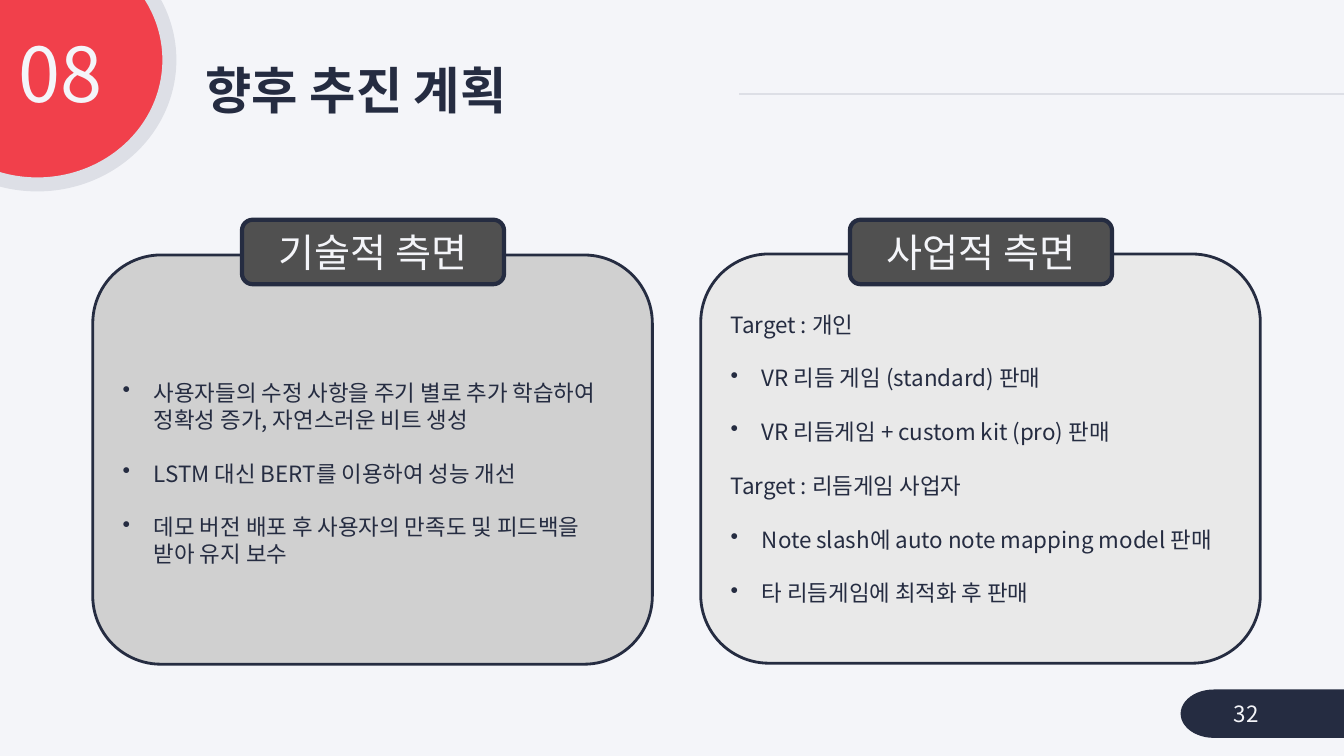
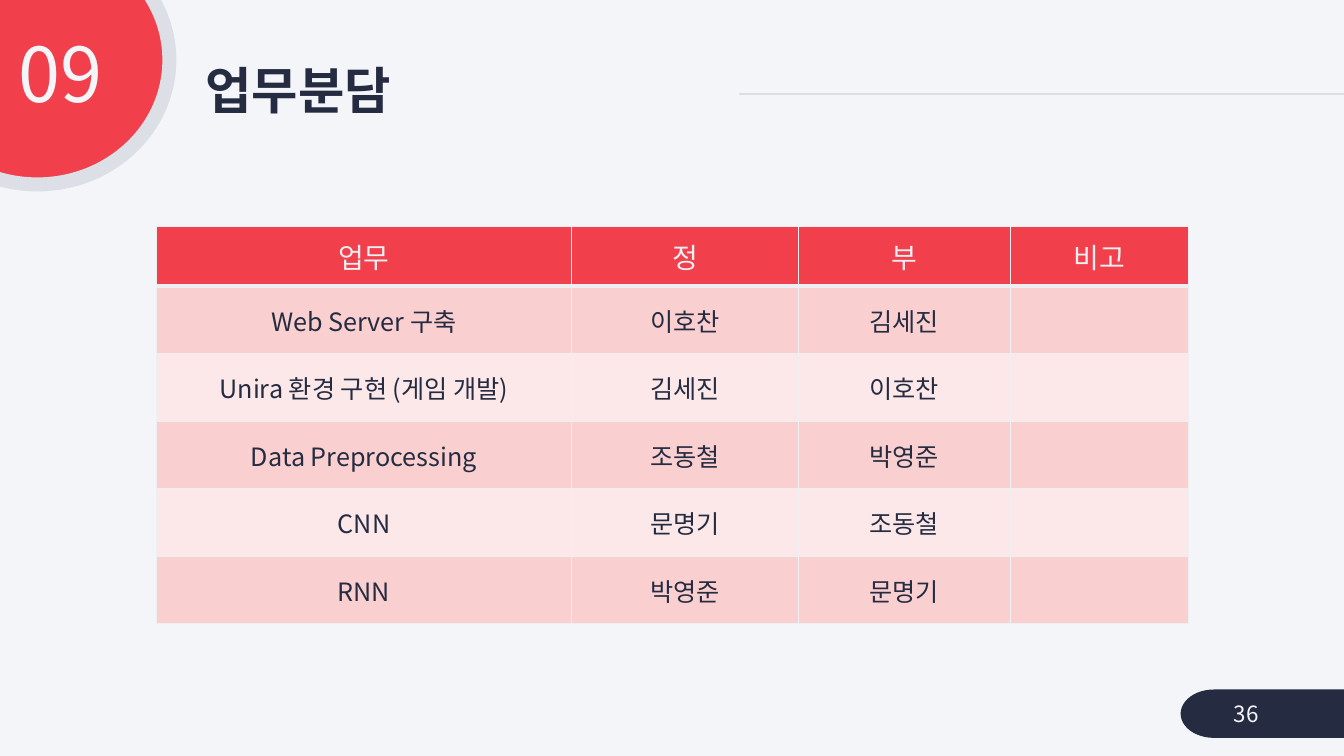
from dataclasses import dataclass
from typing import Any

from pptx import Presentation
from pptx import util as u
from pptx.dml.color import RGBColor
from pptx.enum import shapes, text
from pptx.oxml import ns, xmlchemy

FONT = "Noto Sans CJK KR"
PALE = RGBColor(0xF4, 0xF5, 0xF9)
NAVY = RGBColor(0x25, 0x2C, 0x41)
RED = RGBColor(0xF1, 0x40, 0x4B)
MIST = RGBColor(0xDD, 0xDF, 0xE6)
GRID = RGBColor(0xEE, 0xEF, 0xF3)
COAL = RGBColor(0x50, 0x50, 0x50)
GRAY = RGBColor(0xD0, 0xD0, 0xD0)
LIGHT = RGBColor(0xE9, 0xE9, 0xE9)
ROSE = RGBColor(0xFA, 0xCF, 0xD0)
BLUSH = RGBColor(0xFC, 0xE8, 0xE9)

ALIGN = text.PP_ALIGN
MIDDLE = text.MSO_ANCHOR.MIDDLE
KIND = shapes.MSO_SHAPE
LINE = u.Pt(19.2)
HANG = u.Inches(0.31)


@dataclass
class Box:
    left: float
    top: float
    width: float
    height: float

    def area(self) -> tuple:
        return tuple(u.Inches(n) for n in (self.left, self.top, self.width, self.height))


@dataclass
class Item:
    words: str
    dot: bool = True


@dataclass
class Card:
    left: float
    top: float
    fill: RGBColor
    head: str
    items: list[Item]
    drop: float = 0.05


CARDS = [
    Card(0.92, 2.53, GRAY, "기술적 측면", [
        Item("사용자들의 수정 사항을 주기 별로 추가 학습하여 정확성 증가, 자연스러운 비트 생성"),
        Item("LSTM 대신 BERT를 이용하여 성능 개선"),
        Item("데모 버전 배포 후 사용자의 만족도 및 피드백을 받아 유지 보수"),
    ], 0.32),
    Card(6.95, 2.52, LIGHT, "사업적 측면", [
        Item("Target : 개인", False),
        Item("VR 리듬 게임 (standard) 판매"),
        Item("VR 리듬게임 + custom kit (pro) 판매"),
        Item("Target : 리듬게임 사업자", False),
        Item("Note slash에 auto note mapping model 판매"),
        Item("타 리듬게임에 최적화 후 판매"),
    ]),
]

TASKS = [
    ("업무", "정", "부", "비고"),
    ("Web Server 구축", "이호찬", "김세진", ""),
    ("Unira 환경 구현 (게임 개발)", "김세진", "이호찬", ""),
    ("Data Preprocessing", "조동철", "박영준", ""),
    ("CNN", "문명기", "조동철", ""),
    ("RNN", "박영준", "문명기", ""),
]
COLS = (4.12, 2.25, 2.1, 1.77)
ROWS = (0.59,) + (0.67,) * 5


def apply(item: Any, form: dict[str, Any]) -> None:
    for key, val in form.items():
        setattr(item, key, val)


def write(para: Any, words: str, size: float, color: RGBColor, bold: bool = False, **form: Any) -> None:
    apply(para, form)
    run = para.add_run()
    run.text = words
    apply(run.font, {"name": FONT, "size": u.Pt(size), "bold": bold})
    run.font.color.rgb = color
    east = xmlchemy.OxmlElement("a:ea")
    east.set("typeface", FONT)
    run.font._element.find(ns.qn("a:latin")).addnext(east)


def label(slide: Any, box: Box, words: str, size: float, color: RGBColor,
          anchor: Any = MIDDLE, bold: bool = False, **form: Any) -> None:
    frame = slide.shapes.add_textbox(*box.area()).text_frame
    apply(frame, {"word_wrap": True, "vertical_anchor": anchor})
    write(frame.paragraphs[0], words, size, color, bold, **form)


def shape(slide: Any, kind: Any, box: Box, fill: RGBColor,
          edge: RGBColor | None = None, width: float = 0) -> Any:
    item = slide.shapes.add_shape(kind, *box.area())
    item.shadow.inherit = False
    item.fill.solid()
    item.fill.fore_color.rgb = fill
    if edge is None:
        item.line.fill.background()
    else:
        item.line.color.rgb = edge
        item.line.width = u.Pt(width)
    apply(item.text_frame, {"word_wrap": True, "vertical_anchor": MIDDLE})
    return item


def base(deck: Any, part: str, title: str, page: str) -> Any:
    slide = deck.slides.add_slide(deck.slide_layouts[6])
    slide.background.fill.solid()
    slide.background.fill.fore_color.rgb = PALE
    rule = slide.shapes.add_connector(
        shapes.MSO_CONNECTOR.STRAIGHT,
        u.Inches(7.33), u.Inches(0.93), u.Inches(13.33), u.Inches(0.93))
    rule.line.color.rgb = MIST
    rule.line.width = u.Pt(1.5)
    rule._element.spPr.append(xmlchemy.OxmlElement("a:effectLst"))
    shape(slide, KIND.OVAL, Box(-0.94, -0.64, 2.62, 2.47), RED, MIST, 10)
    shape(slide, KIND.FLOWCHART_TERMINATOR, Box(11.71, 6.84, 2.05, 0.48), NAVY)
    label(slide, Box(1.94, 0.59, 5.39, 0.67), title, 36, NAVY, bold=True, line_spacing=0.9)
    label(slide, Box(-0.11, 0.32, 1.22, 0.92), part, 54, PALE,
          text.MSO_ANCHOR.TOP, alignment=ALIGN.RIGHT, line_spacing=0.9)
    label(slide, Box(12.14, 6.88, 1.09, 0.4), page, 16, PALE)
    return slide


def indent(para: Any, dot: bool) -> None:
    prop = para._p.get_or_add_pPr()
    prop.set("marL", str(HANG))
    prop.set("indent", str(-HANG))
    if dot:
        mark = xmlchemy.OxmlElement("a:buChar")
        mark.set("char", "•")
        prop.append(mark)


def panel(slide: Any, card: Card) -> None:
    body = shape(slide, KIND.ROUNDED_RECTANGLE, Box(card.left, card.top, 5.55, 4.06),
                 card.fill, NAVY, 2)
    frame = body.text_frame
    frame.margin_top = u.Inches(card.drop)
    for num, item in enumerate(card.items):
        para = frame.add_paragraph() if num else frame.paragraphs[0]
        indent(para, item.dot)
        write(para, item.words, 16, NAVY, alignment=ALIGN.LEFT,
              line_spacing=LINE, space_before=LINE if num else u.Pt(0))
    head = shape(slide, KIND.ROUNDED_RECTANGLE, Box(card.left + 1.48, 2.18, 2.6, 0.64),
                 COAL, NAVY, 3)
    write(head.text_frame.paragraphs[0], card.head, 28, PALE, alignment=ALIGN.CENTER)


def border(cell: Any, side: str, width: float) -> None:
    line = xmlchemy.OxmlElement(f"a:ln{side}")
    line.set("w", str(u.Pt(width)))
    fill = xmlchemy.OxmlElement("a:solidFill")
    tint = xmlchemy.OxmlElement("a:srgbClr")
    tint.set("val", str(GRID))
    fill.append(tint)
    line.append(fill)
    cell._tc.get_or_add_tcPr().append(line)


def chart(slide: Any) -> None:
    box = Box(1.55, 2.25, sum(COLS), sum(ROWS))
    table = slide.shapes.add_table(len(ROWS), len(COLS), *box.area()).table
    apply(table, {"first_row": False, "horz_banding": False})
    for col, width in zip(table.columns, COLS):
        col.width = u.Inches(width)
    for row, high in zip(table.rows, ROWS):
        row.height = u.Inches(high)
    for r, tasks in enumerate(TASKS):
        tone = RED if r == 0 else (ROSE if r % 2 else BLUSH)
        size, color = (18, NAVY) if r else (20, GRID)
        for c, words in enumerate(tasks):
            cell = table.cell(r, c)
            cell.vertical_anchor = MIDDLE
            for side in "LRTB":
                thick = (r, side) in ((0, "B"), (1, "T"))
                border(cell, side, 3 if thick else 1)
            cell.fill.solid()
            cell.fill.fore_color.rgb = tone
            if words:
                write(cell.text_frame.paragraphs[0], words, size, color, alignment=ALIGN.CENTER)


def main() -> None:
    deck = Presentation()
    apply(deck, {"slide_width": u.Inches(13.33), "slide_height": u.Inches(7.5)})
    plan = base(deck, "08", "향후 추진 계획", "32")
    for card in CARDS:
        panel(plan, card)
    chart(base(deck, "09", "업무분담", "36"))
    deck.save("out.pptx")


if __name__ == "__main__":
    main()
